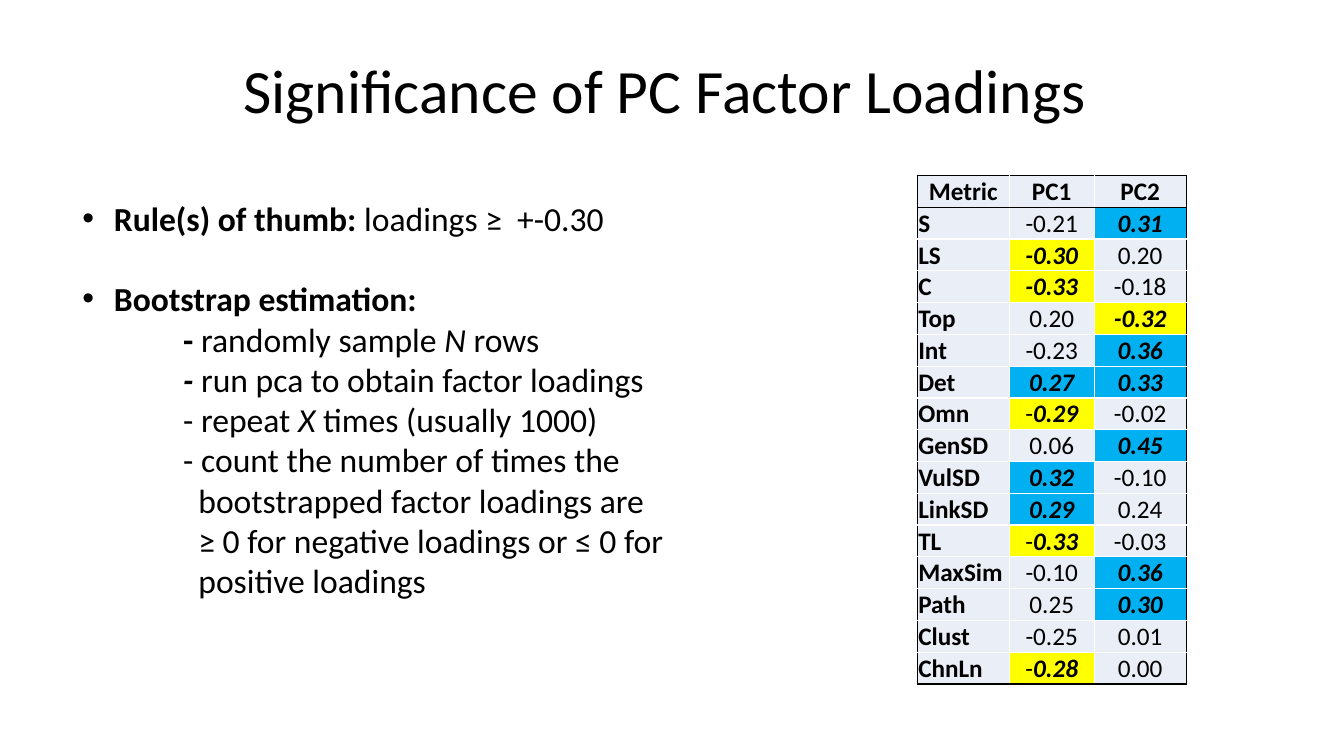
from dataclasses import dataclass

import lxml.etree
import pptx
import pptx.dml.color
import pptx.enum.text
import pptx.oxml.ns
import pptx.util

Pt = pptx.util.Pt
qn = pptx.oxml.ns.qn
ALIGN = pptx.enum.text.PP_ALIGN
ANCHOR = pptx.enum.text.MSO_ANCHOR

FONT = "Calibri"
COLORS = {
    "text": "000000",
    "frame": "000000",
    "grid": "FFFFFF",
    "cell": "EAEFF7",
    "positive": "00B0F0",
    "negative": "FFFF00",
}


@dataclass
class Run:
    text: str
    bold: bool = False
    italic: bool = False


@dataclass
class Line:
    runs: list[Run]
    left: float = 72
    indent: float = 0
    bullet: bool = False
    before: float = 0


@dataclass
class Loading:
    value: str
    significant: bool = False
    plain_minus: bool = False

    def runs(self) -> list[Run]:
        if self.plain_minus:
            return [Run("-"), Run(self.value[1:], True, True)]
        return [Run(self.value, self.significant, self.significant)]

    def fill(self) -> str:
        if not self.significant:
            return "cell"
        return "negative" if self.value.startswith("-") else "positive"


@dataclass
class Metric:
    name: str
    pc1: Loading
    pc2: Loading


def high(value: str, plain_minus: bool = False) -> Loading:
    return Loading(value, True, plain_minus)


HEADERS = ["Metric", "PC1", "PC2"]
METRICS = [
    Metric("S", Loading("-0.21"), high("0.31")),
    Metric("LS", high("-0.30"), Loading("0.20")),
    Metric("C", high("-0.33"), Loading("-0.18")),
    Metric("Top", Loading("0.20"), high("-0.32")),
    Metric("Int", Loading("-0.23"), high("0.36")),
    Metric("Det", high("0.27"), high("0.33")),
    Metric("Omn", high("-0.29", True), Loading("-0.02")),
    Metric("GenSD", Loading("0.06"), high("0.45")),
    Metric("VulSD", high("0.32"), Loading("-0.10")),
    Metric("LinkSD", high("0.29"), Loading("0.24")),
    Metric("TL", high("-0.33", True), Loading("-0.03")),
    Metric("MaxSim", Loading("-0.10"), high("0.36")),
    Metric("Path", Loading("0.25"), high("0.30")),
    Metric("Clust", Loading("-0.25"), Loading("0.01")),
    Metric("ChnLn", high("-0.28", True), Loading("0.00")),
]
COLUMN_WIDTHS = [65.7, 60.7, 65.7]
ROW_HEIGHT = 22.4

HANG = 10.85  # width of the dash step
BULLET = dict(left=22.5, indent=-22.5, bullet=True)
CONTINUED = 72 + HANG
LINES = [
    Line([Run("Rule(s) of thumb: ", True), Run("loadings ≥  +-0.30")], **BULLET),
    Line([Run("Bootstrap estimation:", True)], before=28.8, **BULLET),
    Line([Run("- ", True), Run("randomly sample "), Run("N ", italic=True), Run("rows")]),
    Line([Run("- ", True, True), Run("run pca to obtain factor loadings")]),
    Line([Run("- repeat "), Run("X ", italic=True), Run("times (usually 1000)")]),
    Line([Run("- count the number of times the")], CONTINUED, -HANG),
    Line([Run("bootstrapped factor loadings are")], CONTINUED),
    Line([Run("≥ 0 for negative loadings or ≤ 0 for")], CONTINUED),
    Line([Run("positive loadings")], CONTINUED),
]


def rgb(name: str) -> pptx.dml.color.RGBColor:
    return pptx.dml.color.RGBColor.from_string(COLORS[name])


def add_runs(p, runs: list[Run], size: float) -> None:
    for run in runs:
        r = p.add_run()
        r.text = run.text
        r.font.name = FONT
        r.font.size = Pt(size)
        r.font.bold = run.bold
        r.font.italic = run.italic
        r.font.color.rgb = rgb("text")


def add_title(slide, text: str) -> None:
    sp = slide.shapes.title
    sp.left, sp.top, sp.width, sp.height = Pt(66), Pt(14.4), Pt(828), Pt(104.4)
    tf = sp.text_frame
    tf.vertical_anchor = ANCHOR.MIDDLE
    p = tf.paragraphs[0]
    p.alignment = ALIGN.CENTER
    p.line_spacing = 0.9
    add_runs(p, [Run(text)], 44)


def add_lines(slide, lines: list[Line]) -> None:
    sp = slide.shapes.add_textbox(Pt(51.8), Pt(137.5), Pt(438.5), Pt(385))
    tf = sp.text_frame
    tf.word_wrap = True
    for i, line in enumerate(lines):
        p = tf.add_paragraph() if i else tf.paragraphs[0]
        p.space_before = Pt(line.before)
        pPr = p._p.get_or_add_pPr()
        pPr.set("marL", str(Pt(line.left)))
        pPr.set("indent", str(Pt(line.indent)))
        if line.bullet:
            lxml.etree.SubElement(pPr, qn("a:buFont")).set("typeface", "Arial")
            lxml.etree.SubElement(pPr, qn("a:buChar")).set("char", "•")
        add_runs(p, line.runs, 24)


def set_borders(cell, left: str, right: str, top: str, bottom: str) -> None:
    tcPr = cell._tc.get_or_add_tcPr()
    sides = {"a:lnL": left, "a:lnR": right, "a:lnT": top, "a:lnB": bottom}
    for i, (tag, color) in enumerate(sides.items()):
        ln = lxml.etree.Element(qn(tag), w=str(Pt(1)))
        fill = lxml.etree.SubElement(ln, qn("a:solidFill"))
        lxml.etree.SubElement(fill, qn("a:srgbClr")).set("val", COLORS[color])
        tcPr.insert(i, ln)


def fill_cell(cell, runs: list[Run], fill: str, centered: bool) -> None:
    cell.margin_left = cell.margin_right = cell.margin_top = Pt(0.72)
    cell.margin_bottom = Pt(0)
    cell.vertical_anchor = ANCHOR.BOTTOM
    cell.fill.solid()
    cell.fill.fore_color.rgb = rgb(fill)
    p = cell.text_frame.paragraphs[0]
    p.alignment = ALIGN.CENTER if centered else ALIGN.LEFT
    add_runs(p, runs, 18)


def add_loadings_table(slide, metrics: list[Metric]) -> None:
    n_rows, n_cols = len(metrics) + 1, len(HEADERS)
    frame = slide.shapes.add_table(n_rows, n_cols, Pt(655.2), Pt(125.3),
                                   Pt(sum(COLUMN_WIDTHS)), Pt(ROW_HEIGHT * n_rows))
    table = frame.table
    table.first_row = table.horz_banding = False
    for column, width in zip(table.columns, COLUMN_WIDTHS):
        column.width = Pt(width)

    rows = [[([Run(h, True)], "cell") for h in HEADERS]]
    for m in metrics:
        rows.append([([Run(m.name, True)], "cell")]
                    + [(x.runs(), x.fill()) for x in (m.pc1, m.pc2)])

    # Black around the table and under the header, white elsewhere
    edge = {True: "frame", False: "grid"}
    for i, row in enumerate(rows):
        table.rows[i].height = Pt(ROW_HEIGHT)
        for j, (runs, fill) in enumerate(row):
            cell = table.cell(i, j)
            fill_cell(cell, runs, fill, centered=i == 0 or j > 0)
            set_borders(cell, edge[j == 0], edge[j == n_cols - 1],
                        edge[i <= 1], edge[i in (0, n_rows - 1)])


def main() -> None:
    prs = pptx.Presentation()
    prs.slide_width, prs.slide_height = Pt(960), Pt(540)
    slide = prs.slides.add_slide(prs.slide_layouts[5])
    add_title(slide, "Significance of PC Factor Loadings ")
    add_loadings_table(slide, METRICS)
    add_lines(slide, LINES)
    prs.save("out.pptx")


if __name__ == "__main__":
    main()
